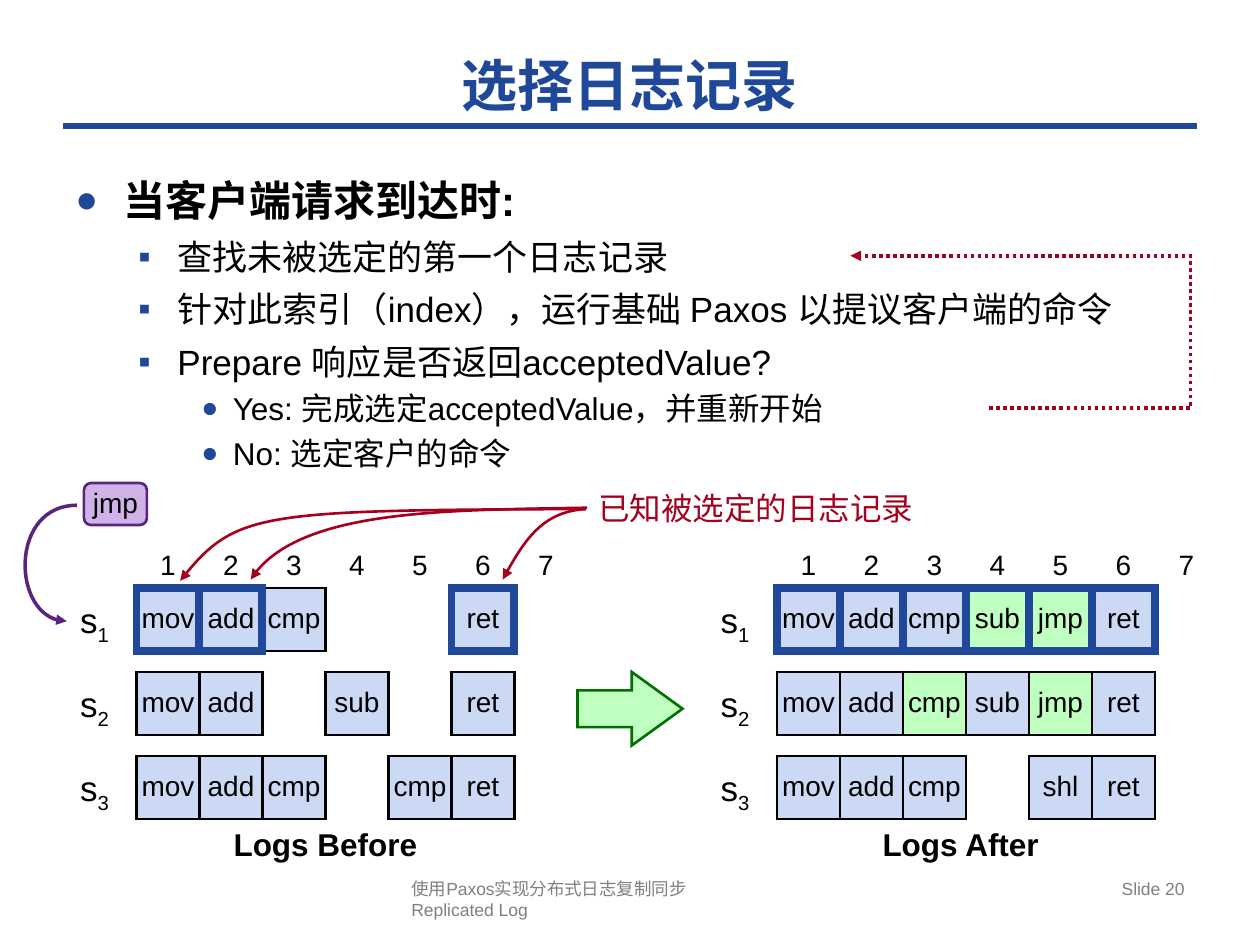
from dataclasses import dataclass
from lxml.etree import SubElement
from pptx import Presentation
from pptx.dml.color import RGBColor
from pptx.enum.dml import MSO_LINE
from pptx.enum.shapes import MSO_CONNECTOR, MSO_SHAPE
from pptx.enum.text import MSO_ANCHOR, MSO_AUTO_SIZE, PP_ALIGN
from pptx.oxml.ns import qn
from pptx.util import Inches, Pt


@dataclass(frozen=True)
class Theme:
    """Colours, fonts and type sizes."""
    blue: str = "1F4899"
    cell: str = "CCD9F4"
    green: str = "BFFFBF"
    dark_green: str = "007000"
    lilac: str = "D1B2E8"
    purple: str = "57257D"
    red: str = "A5001E"
    black: str = "000000"
    grey: str = "7F7F7F"
    font: str = "Arial"
    title_font: str = "DejaVu Sans"
    title: int = 32
    levels: tuple = (24, 20, 18)
    server: int = 20
    label: int = 18
    code: int = 16
    footer: int = 10


T = Theme()
U = Inches(1) // 12  # grid unit: twelve columns and rows to the inch
C, L, R = PP_ALIGN.CENTER, PP_ALIGN.LEFT, PP_ALIGN.RIGHT


def write(sp, text, size=T.code, color=T.black, bold=False, align=C,
          font=T.font, sub="", inset=True, leading=None):
    """Add one formatted paragraph to a shape and return it."""
    tf = sp.text_frame
    tf.word_wrap = True
    if not inset:
        tf.margin_left = tf.margin_right = tf.margin_top = tf.margin_bottom = 0
    p = tf.add_paragraph() if tf.text else tf.paragraphs[0]
    p.alignment = align
    if leading:
        p.line_spacing = Pt(leading)
    for i, line in enumerate(text.split("\n")):
        if i:
            p.add_line_break()
        p.add_run().text = line
    if sub:
        r = p.add_run()
        r.text = sub
        r.font._element.set("baseline", "-25000")
    for r in p.runs:
        r.font.size, r.font.bold, r.font.name = Pt(size), bold, font
        r.font.color.rgb = RGBColor.from_string(color)
    return p


def paint(sp, line, width, fill=None, dash=None, arrow=False):
    """Set the outline and fill of a shape, without a shadow."""
    sp.line.color.rgb = RGBColor.from_string(line)
    sp.line.width = Pt(width)
    if dash:
        sp.line.dash_style = dash
    ln = sp.line._get_or_add_ln()
    SubElement(ln, qn("a:miter"), lim="800000")
    if arrow:
        SubElement(ln, qn("a:tailEnd"), type="triangle")
    if hasattr(sp, "shadow"):
        sp.shadow.inherit = False
    if fill:
        sp.fill.solid()
        sp.fill.fore_color.rgb = RGBColor.from_string(fill)
    elif hasattr(sp, "fill"):
        sp.fill.background()


prs = Presentation()
prs.slide_width, prs.slide_height = 120 * U, 90 * U
s = prs.slides.add_slide(prs.slide_layouts[5])
shapes = s.shapes

# Title and rule
title = shapes.title
title.left, title.top, title.width, title.height = 6 * U, 4 * U, 108 * U, 8 * U
title.text_frame.vertical_anchor = MSO_ANCHOR.MIDDLE
title.text_frame.auto_size = MSO_AUTO_SIZE.NONE
write(title, "选择日志记录", T.title, T.blue, True, font=T.title_font)
rule = shapes.add_connector(MSO_CONNECTOR.STRAIGHT, 6 * U, 12 * U, 114 * U, 12 * U)
paint(rule, T.blue, 4)
SubElement(rule._element.spPr, qn("a:effectLst"))

# Bulleted steps: left margin, hanging indent, space before, bullet, bullet size
BULLETS = [(0.38, 0.38, 12, "●", 90), (0.81, 0.31, 6, "▪", 100), (1.25, 0.25, 4, "●", 90)]
STEPS = [
    (0, "当客户端请求到达时:"),
    (1, "查找未被选定的第一个日志记录"),
    (1, "针对此索引（index），运行基础 Paxos 以提议客户端的命令"),
    (1, "Prepare 响应是否返回acceptedValue?"),
    (2, "Yes: 完成选定acceptedValue，并重新开始"),
    (2, "No: 选定客户的命令"),
]
body = shapes.add_textbox(6 * U, 16 * U, 108 * U, 34 * U)
for level, text in STEPS:
    margin, hang, before, char, percent = BULLETS[level]
    p = write(body, text, T.levels[level], bold=level == 0, align=L)
    p.level, p.space_before = level, Pt(before)
    pPr = p._p.get_or_add_pPr()
    pPr.set("marL", str(Inches(margin)))
    pPr.set("indent", str(-Inches(hang)))
    SubElement(SubElement(pPr, qn("a:buClr")), qn("a:srgbClr"), val=T.blue)
    SubElement(pPr, qn("a:buSzPct"), val=str(percent * 1000))
    SubElement(pPr, qn("a:buFont"), typeface=T.font)
    SubElement(pPr, qn("a:buChar"), char=char)

# Logs: first column, chosen entries of the first server, rows ("-" empty, "*" new)
LOGS = [
    (13, {0, 1, 5}, ["mov add cmp - - ret", "mov add - sub - ret", "mov add cmp - cmp ret"]),
    (74, set(range(6)), ["mov add cmp *sub *jmp ret", "mov add *cmp sub *jmp ret",
                         "mov add cmp - shl ret"]),
]
for left, chosen, rows in LOGS:
    for i in range(7):
        number = shapes.add_textbox((left + 6 * i) * U, Inches(4.3), 6 * U, Inches(0.37))
        write(number, str(i + 1))
    for row, entries in enumerate(rows):
        top = 56 + 8 * row
        server = shapes.add_textbox((left - 7) * U, (top + 1) * U, 6 * U, 4 * U)
        write(server, "s", T.server, sub=str(row + 1), inset=False)
        cells = [(row == 0 and i in chosen, i, e) for i, e in enumerate(entries.split())]
        for known, i, entry in sorted(cells):
            if entry == "-":
                continue
            sp = shapes.add_shape(MSO_SHAPE.RECTANGLE, (left + 6 * i) * U, top * U, 6 * U, 6 * U)
            paint(sp, T.blue if known else T.black, 4.5 if known else 1.5,
                  T.green if entry[0] == "*" else T.cell)
            write(sp, entry.strip("*"), inset=False, leading=17)

command = shapes.add_shape(MSO_SHAPE.ROUNDED_RECTANGLE, 8 * U, 46 * U, 6 * U, 4 * U)
paint(command, T.purple, 1.5, T.lilac)
write(command, "jmp", inset=False, leading=17)

step = shapes.add_shape(MSO_SHAPE.RIGHT_ARROW, 55 * U, 64 * U, 10 * U, 7 * U)
step.adjustments[1] = 0.69
paint(step, T.dark_green, 1.5, T.green)

# Arrows: colour, width, dash, curved, points in inches
ARROWS = [
    (T.red, 2, MSO_LINE.ROUND_DOT, False, [(7.85, 3.24), (9.45, 3.24), (9.45, 2.03), (6.75, 2.03)]),
    (T.purple, 2, None, True, [(0.61, 4.01), (0.09, 4.01), (0.09, 4.93), (0.53, 4.93)]),
    (T.red, 1.5, None, True, [(4.65, 4.04), (2.12, 4.05), (1.86, 4.06), (1.43, 4.61)]),
    (T.red, 1.5, None, True, [(4.66, 4.03), (3.56, 4.05), (2.34, 4.04), (1.99, 4.6)]),
    (T.red, 1.5, None, True, [(4.65, 4.04), (4.33, 4.06), (4.16, 4.28), (3.99, 4.6)]),
]
for color, width, dash, curved, points in ARROWS:
    start, *rest = [(Inches(x), Inches(y)) for x, y in points]
    builder = shapes.build_freeform(*start)
    builder.add_line_segments(rest, close=False)
    sp = builder.convert_to_shape()
    paint(sp, color, width, dash=dash, arrow=True)
    if curved:
        outline = next(sp._element.iter(qn("a:path")))
        segments = outline.findall(qn("a:lnTo"))
        curve = SubElement(outline, qn("a:cubicBezTo"))
        for segment in segments:
            curve.append(segment[0])
            outline.remove(segment)

# Captions and footer: left, top, width, height in grid units, text, format
LABELS = [
    (55.8, 46, 32.4, 4.8, "已知被选定的日志记录", dict(size=T.label, color=T.red)),
    (19, 78, 24, 4.8, "Logs Before", dict(size=T.label, bold=True)),
    (80, 78, 23, 4.8, "Logs After", dict(size=T.label, bold=True)),
    (38, 83, 45, 5.2, "使用Paxos实现分布式日志复制同步\nReplicated Log",
     dict(size=T.footer, color=T.grey, align=L)),
    (86, 83, 28, 5.2, "Slide 20", dict(size=T.footer, color=T.grey, align=R)),
]
for *box, text, look in LABELS:
    write(shapes.add_textbox(*[int(n * U) for n in box]), text, **look)

prs.save("out.pptx")
